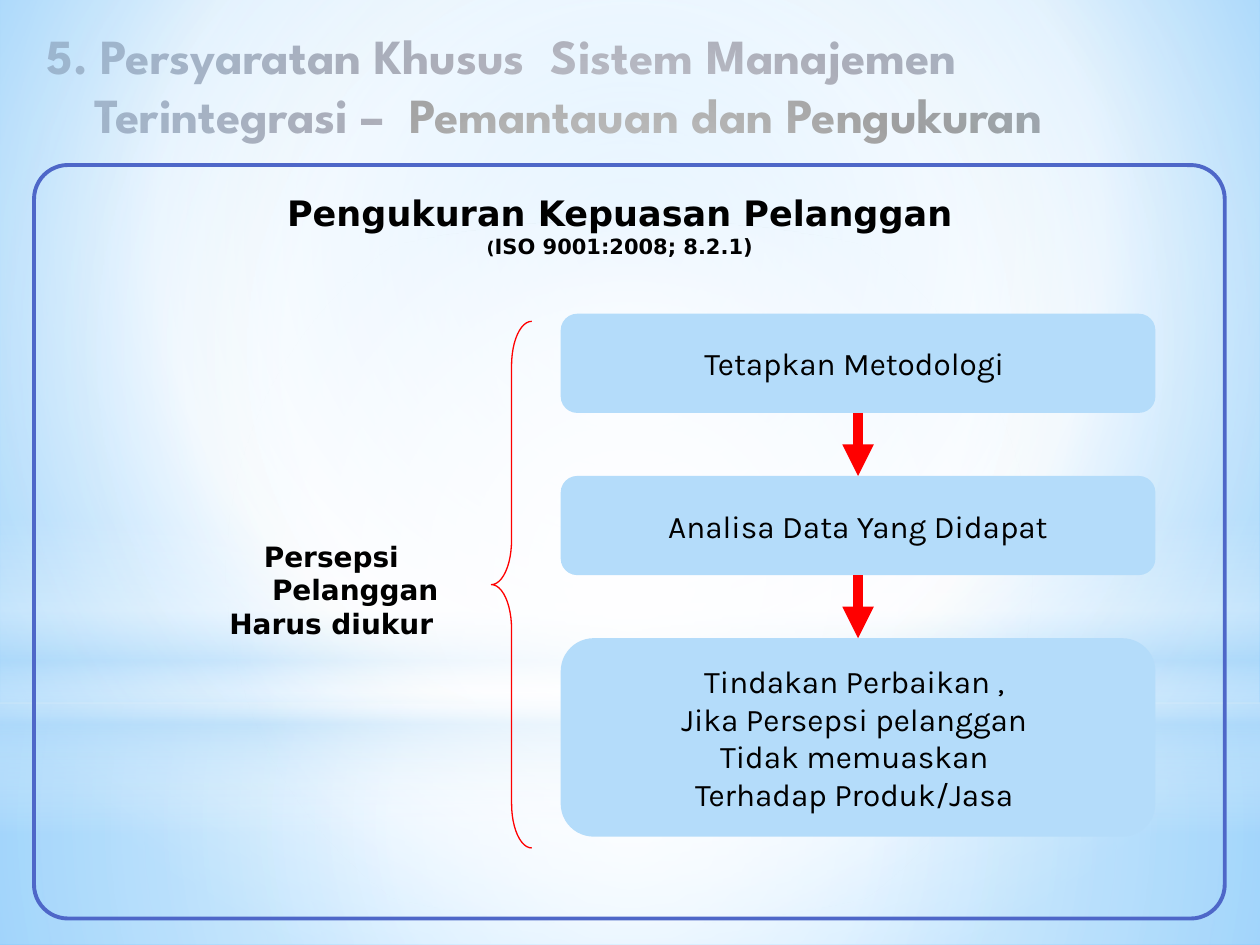
from dataclasses import dataclass
from itertools import pairwise

from lxml.etree import SubElement
from pptx import Presentation
from pptx.dml.color import RGBColor
from pptx.enum.shapes import MSO_CONNECTOR, MSO_SHAPE
from pptx.enum.text import MSO_ANCHOR, MSO_AUTO_SIZE, PP_ALIGN
from pptx.oxml.ns import qn
from pptx.util import Inches, Pt


@dataclass(frozen=True)
class Theme:
    navy: str = "212745"
    black: str = "000000"
    sky: str = "B4DCFA"
    red: str = "FF0000"
    frame: str = "4E67C8"
    title_font: str = "League Spartan"
    heading_font: str = "DejaVu Sans"
    flow_font: str = "Karla"
    title_size: int = 28
    heading_size: int = 20
    flow_size: int = 18
    label_size: int = 16
    reference_size: int = 12
    bracket_size: int = 10


THEME = Theme()
CENTRE = (50, 50, 50, 50)


def set_gradient(fill, properties, stops, focus=None):
    """Fill with (position, colour, opacity) stops: round a focus, or downwards without one."""
    fill.gradient()
    gradient = properties.find(qn("a:gradFill"))
    for child in list(gradient):
        gradient.remove(child)
    stop_list = SubElement(gradient, qn("a:gsLst"))
    for position, colour, opacity in stops:
        stop = SubElement(stop_list, qn("a:gs"), pos=str(position * 1000))
        tint = SubElement(stop, qn("a:srgbClr"), val=colour)
        if opacity < 100:
            SubElement(tint, qn("a:alpha"), val=str(opacity * 1000))
    if focus:
        circle = SubElement(gradient, qn("a:path"))
        circle.set("path", "circle")
        SubElement(circle, qn("a:fillToRect"),
                   {side: str(value * 1000) for side, value in zip("ltrb", focus)})
    else:
        SubElement(gradient, qn("a:lin"), ang=str(90 * 60000), scaled="0")


def add_plain_shape(page, kind, left, top, width, height):
    shape = page.shapes.add_shape(kind, Inches(left), Inches(top), Inches(width), Inches(height))
    shape.shadow.inherit = False
    shape.fill.background()
    shape.line.fill.background()
    return shape


def add_text_box(page, left, top, width, height):
    box = page.shapes.add_textbox(Inches(left), Inches(top), Inches(width), Inches(height))
    box.text_frame.word_wrap = True
    box.text_frame.auto_size = MSO_AUTO_SIZE.SHAPE_TO_FIT_TEXT
    return box


def format_span(span, font, size, colour, bold):
    span.font.name = font
    span.font.size = Pt(size)
    span.font.bold = bold
    span.font.color.rgb = RGBColor.from_string(colour)


def format_paragraphs(frame, font, size, colour, bold=True, align=PP_ALIGN.CENTER):
    """Give every paragraph the hanging indent and every run the same type."""
    for para in frame.paragraphs:
        para.alignment = align
        properties = para._p.get_or_add_pPr()
        properties.set("marL", str(Inches(0.38)))
        properties.set("indent", str(-Inches(0.38)))
        for span in para.runs:
            format_span(span, font, size, colour, bold)


def add_backdrop(page):
    background = page.background.fill
    set_gradient(background, page._element.cSld.bg.bgPr,
                 [(0, "9ED5FF", 100), (60, "FFFFFF", 100), (100, "5BB9FF", 100)],
                 (20, 10, 20, 60))
    white, sky = "FFFFFF", THEME.sky
    layers = [
        (MSO_SHAPE.RECTANGLE, (0, 5.58, 10, 1.92),
         [(0, white, 91), (37, white, 76), (100, sky, 79)], CENTRE),
        (MSO_SHAPE.RECTANGLE, (0, 0, 10, 5.58),
         [(0, white, 89), (48, white, 62), (100, sky, 79)], CENTRE),
        (MSO_SHAPE.RECTANGLE, (0, 4.12, 10, 2.5),
         [(0, white, 0), (29, white, 30), (45, sky, 40), (55, white, 26),
          (65, sky, 60), (100, white, 0)], None),
        (MSO_SHAPE.OVAL, (0, 1.75, 10, 5.58), [(0, white, 100), (56, white, 0)], CENTRE),
    ]
    for kind, area, stops, focus in layers:
        layer = add_plain_shape(page, kind, *area)
        set_gradient(layer.fill, layer._element.spPr, stops, focus)


def place_title(page, left, top, width, height):
    title = page.shapes.title
    title.left, title.top = Inches(left), Inches(top)
    title.width, title.height = Inches(width), Inches(height)
    frame = title.text_frame
    frame.text = "5. Persyaratan Khusus  Sistem Manajemen  Terintegrasi –  "
    frame.paragraphs[0].add_run().text = "Pemantauan dan Pengukuran"
    frame.word_wrap = True
    frame.auto_size = MSO_AUTO_SIZE.NONE
    frame.vertical_anchor = MSO_ANCHOR.TOP
    format_paragraphs(frame, THEME.title_font, THEME.title_size, THEME.navy, align=PP_ALIGN.LEFT)
    frame.paragraphs[0].runs[1].font.color.rgb = RGBColor.from_string(THEME.black)


def add_frame(page, left, top, width, height):
    frame = add_plain_shape(page, MSO_SHAPE.ROUNDED_RECTANGLE, left, top, width, height)
    frame.adjustments[0] = 0.045
    frame.line.color.rgb = RGBColor.from_string(THEME.frame)
    frame.line.width = Pt(2.25)


def add_heading(page, left, top, width, height):
    frame = add_text_box(page, left, top, width, height).text_frame
    frame.text = "Pengukuran Kepuasan Pelanggan\n("
    reference = frame.paragraphs[1]
    reference.add_run().text = "ISO 9001:2008; 8.2.1)"
    format_paragraphs(frame, THEME.heading_font, THEME.heading_size, THEME.black)
    for span, size in zip(reference.runs, (THEME.bracket_size, THEME.reference_size)):
        span.font.size = Pt(size)


def add_perception(page, left, top, width, height):
    """Place the label and the brace that opens towards the flow."""
    frame = add_text_box(page, left, top + 1.68, 2.66, 0.69).text_frame
    frame.text = "Persepsi Pelanggan\nHarus diukur"
    format_paragraphs(frame, THEME.heading_font, THEME.label_size, THEME.black)
    brace_width = 0.32
    brace = add_plain_shape(page, MSO_SHAPE.LEFT_BRACE,
                            left + width - brace_width, top, brace_width, height)
    brace.adjustments[0] = 1.1
    brace.line.color.rgb = RGBColor.from_string(THEME.red)
    brace.line.width = Pt(0.75)


def add_arrow(page, upper, lower):
    arrow = page.shapes.add_connector(MSO_CONNECTOR.STRAIGHT, 0, 0, 0, 0)
    arrow.begin_connect(upper, 2)
    arrow.end_connect(lower, 0)
    arrow.line.color.rgb = RGBColor.from_string(THEME.red)
    arrow.line.width = Pt(6)
    SubElement(arrow.line._get_or_add_ln(), qn("a:tailEnd"), type="triangle")
    SubElement(arrow._element.spPr, qn("a:effectLst"))


def add_flow(page, left, top, width, height):
    steps = [
        ("Tetapkan Metodologi ", 1),
        ("Analisa Data Yang Didapat", 1),
        ("Tindakan Perbaikan , \nJika Persepsi pelanggan \n"
         "Tidak memuaskan \nTerhadap Produk/Jasa ", 2),
    ]
    gap = 0.5
    unit = (height - gap * (len(steps) - 1)) / sum(share for _, share in steps)
    boxes = []
    for text, share in steps:
        box = add_plain_shape(page, MSO_SHAPE.ROUNDED_RECTANGLE, left, top, width, unit * share)
        box.fill.solid()
        box.fill.fore_color.rgb = RGBColor.from_string(THEME.sky)
        frame = box.text_frame
        frame.text = text
        frame.word_wrap = False
        frame.vertical_anchor = MSO_ANCHOR.MIDDLE
        format_paragraphs(frame, THEME.flow_font, THEME.flow_size, THEME.black, bold=False)
        boxes.append(box)
        top += unit * share + gap
    for upper, lower in pairwise(boxes):
        add_arrow(page, upper, lower)


def main():
    deck = Presentation()
    deck.slide_width, deck.slide_height = Inches(10), Inches(7.5)
    page = deck.slides.add_slide(deck.slide_layouts[5])
    add_backdrop(page)
    add_perception(page, 1.3, 2.55, 2.92, 4.18)
    add_flow(page, 4.45, 2.49, 4.72, 4.15)
    add_frame(page, 0.27, 1.31, 9.45, 5.98)
    place_title(page, 0.27, 0.15, 9.45, 1.05)
    add_heading(page, 0.43, 1.47, 8.98, 0.68)
    deck.save("out.pptx")


if __name__ == "__main__":
    main()
